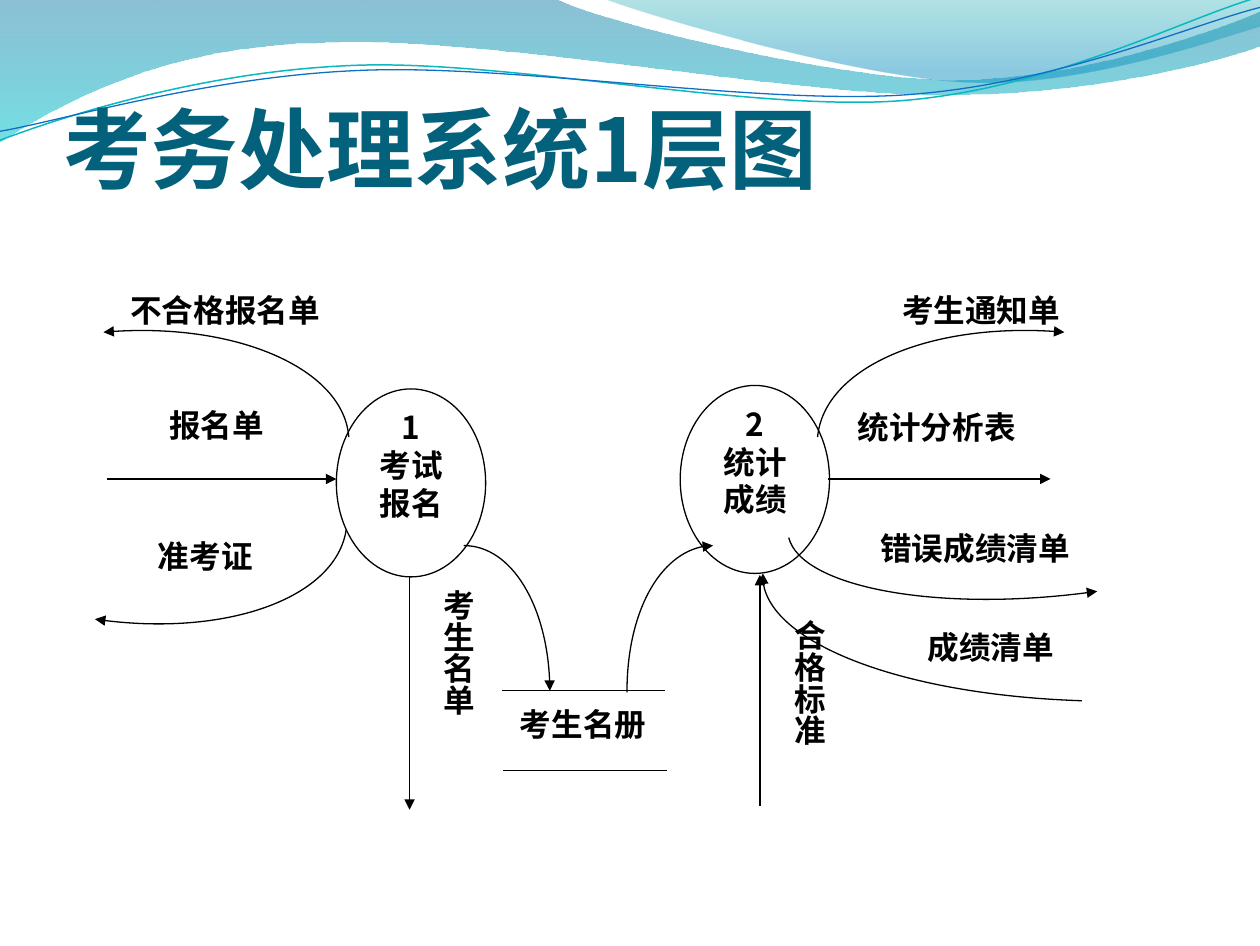
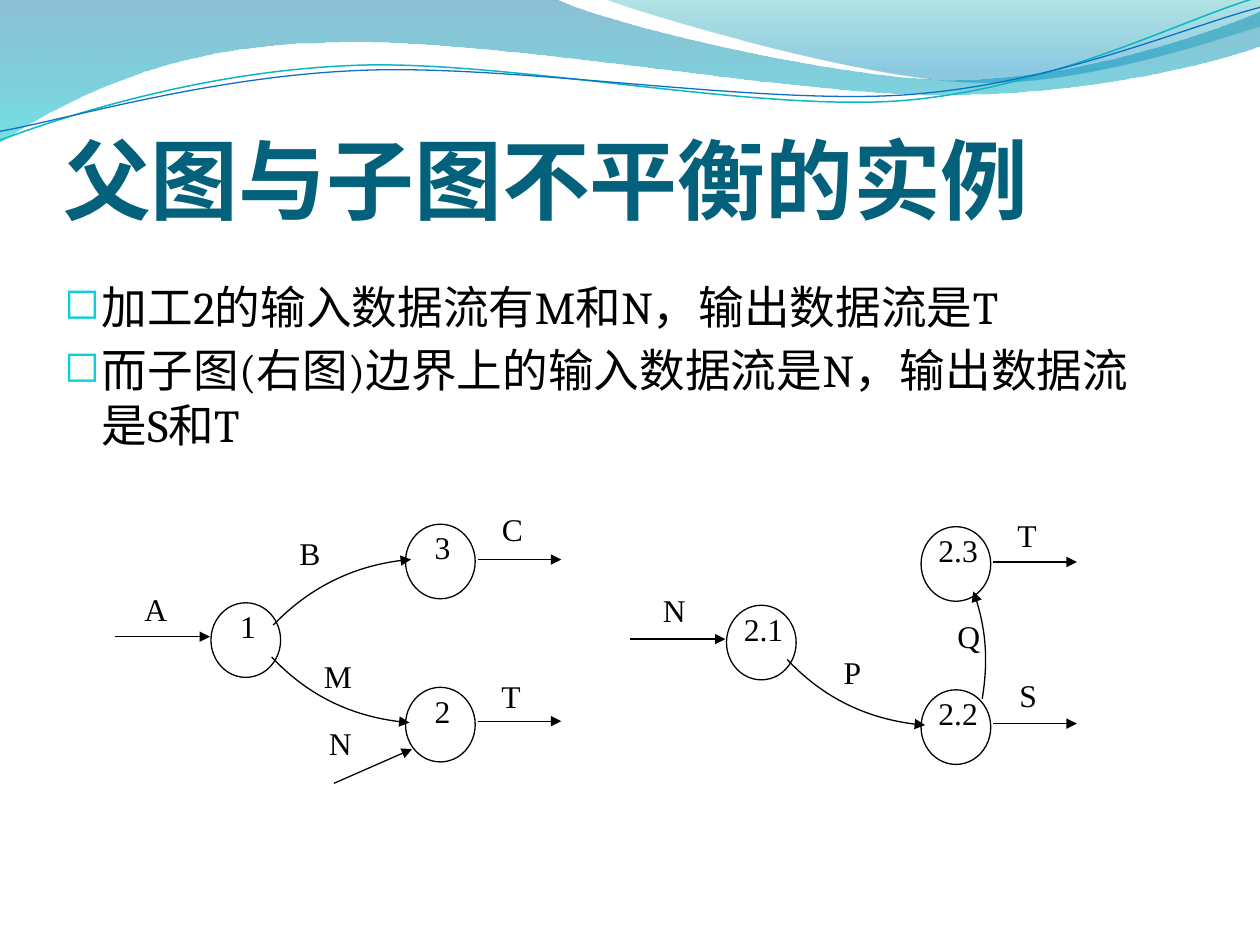
from collections import namedtuple

from pptx import Presentation
from pptx.dml.color import RGBColor
from pptx.enum.shapes import MSO_CONNECTOR, MSO_SHAPE
from pptx.enum.text import MSO_ANCHOR, PP_ALIGN
from pptx.oxml.xmlchemy import OxmlElement
from pptx.util import Cm, Pt

TextStyle = namedtuple("TextStyle", "size latin east color bold spacing align")

SANS = "Noto Sans CJK SC"
BLACK = "000000"
TITLE_STYLE = TextStyle(50, SANS, SANS, "04617B", True, 60, PP_ALIGN.LEFT)
BODY_STYLE = TextStyle(26, "Cambria", SANS, BLACK, False, 31, PP_ALIGN.LEFT)
FLOW_STYLE = TextStyle(18, SANS, SANS, BLACK, True, 21.6, PP_ALIGN.CENTER)
COLUMN_STYLE = FLOW_STYLE._replace(align=PP_ALIGN.LEFT)
LETTER_STYLE = TextStyle(18, "Times New Roman", SANS, BLACK, False, None, PP_ALIGN.CENTER)

BANDS = [
    ((0, 0), [
        [(11.15, -0.03)],
        [(12.04, 0.43), (16.81, 1.6), (19.2, 1.6)],
        [(21.62, 1.6), (24.28, 0.66), (25.32, 0.23)],
        [(25.35, 0.91)],
        [(24.92, 1.12), (22.02, 1.93), (18.9, 1.91)],
        [(15.75, 1.91), (9.68, 0.71), (6.53, 0.86)],
        [(3.28, 0.89), (1.17, 2.11), (-0.03, 2.87)],
    ], [(0, "0074A1", 45), (1, "00C6CF", 55)]),
    ((12.14, -0.03), [
        [(12.9, 0.28), (17.27, 1.57), (19.48, 1.65)],
        [(21.67, 1.75), (24.36, 0.81), (25.32, 0.53)],
        [(25.32, 0)],
    ], [(0, "00A1A9", 30), (0.8, "008BBF", 45)]),
]
WAVES = [
    ((0, 2.82), [
        [(1.22, 2.36), (3.99, 1.45), (7.01, 1.32)],
        [(10.01, 1.17), (15.01, 2.24), (18.06, 2.03)],
        [(21.11, 1.8), (23.77, 0.38), (25.27, -0.05)],
    ], "0AB8BF", 0.85),
    ((0, 2.64), [
        [(1.19, 2.44), (4.14, 1.55), (7.16, 1.42)],
        [(10.19, 1.27), (15.14, 2.11), (18.16, 1.91)],
        [(21.23, 1.7), (23.83, 0.53), (25.32, 0.15)],
    ], "0F6FC6", 0.75),
]

EXAM_TITLE = "考务处理系统1层图"
EXAM_PROCESSES = [
    (["1", "考试", "报名"], 6.76, 7.82),
    (["2", "统计", "成绩"], 13.67, 7.75),
]
EXAM_FLOWS = [
    ((2.16, 9.63), (6.76, 9.63)),
    ((8.23, 11.61), (8.23, 16.28)),
    ((16.64, 9.63), (21.11, 9.63)),
    ((15.27, 16.21), (15.27, 11.56)),
]
STORE_EDGES = [((10.08, 13.89), (13.36, 13.89)), ((10.11, 15.49), (13.41, 15.49))]
EXAM_CURVES = [
    [(9.32, 10.97), (10.29, 10.97), (11.05, 12.29), (11.05, 13.89)],
    [(12.6, 13.92), (12.6, 12.29), (13.36, 10.97), (14.33, 10.97)],
    [(7.01, 8.79), (6.91, 7.42), (4.67, 6.45), (2.08, 6.68)],
    [(6.96, 10.64), (6.76, 12.01), (4.5, 12.83), (1.91, 12.45)],
    [(16.43, 8.79), (16.56, 7.39), (18.77, 6.45), (21.39, 6.68)],
    [(15.85, 10.81), (16.1, 11.79), (18.87, 12.34), (22.05, 11.89)],
    [(21.74, 14.09), (18.11, 13.97), (15.24, 12.83), (15.33, 11.53)],
]
EXAM_LABELS = [
    ("考生名册", 10.03, 14.05, 3.38),
    ("报名单", 2.69, 8.03, 3.33),
    ("不合格报名单", 1.68, 5.72, 5.69),
    ("准考证", 2.46, 10.67, 3.33),
    ("统计分析表", 16.69, 8.08, 4.27),
    ("考生通知单", 17.58, 5.72, 4.27),
    ("错误成绩清单", 17.04, 10.52, 5.11),
    ("成绩清单", 17.93, 12.51, 3.96),
]
EXAM_COLUMNS = [("考生名单", 7.59, 11.61), ("合格标准", 14.63, 12.22)]

BALANCE_TITLE = "父图与子图不平衡的实例"
BALANCE_POINTS = [
    "加工2的输入数据流有M和N，输出数据流是T",
    "而子图(右图)边界上的输入数据流是N，输出数据流是S和T",
]
NODE_PLACES = [(4.24, 12.12), (8.15, 13.82), (8.15, 10.54)]
SHARED_FLOWS = [
    ((2.31, 12.8), (4.22, 12.8)),
    ((9.6, 14.5), (11.28, 14.5)),
    ((9.6, 11.25), (11.28, 11.25)),
]
SHARED_CURVE = [(5.46, 13.21), (6.2, 14), (7.19, 14.45), (8.23, 14.53)]
PARENT_FLOW = ((6.71, 15.75), (8.28, 15.06))
PARENT_CURVE = [(5.49, 12.57), (6.22, 11.81), (7.21, 11.33), (8.26, 11.25)]
CHILD_CURVE = [(19.74, 14.05), (19.86, 13.31), (19.81, 12.57), (19.56, 11.89)]
GRAPHS = [(["1", "2", "3"], 0, 0), (["2.1", "2.2", "2.3"], 10.36, 0.05)]
LETTERS = [
    ("A", 2.51, 11.73), ("B", 5.61, 10.62), ("C", 9.68, 10.13),
    ("M", 6.17, 13.08), ("N", 6.22, 14.43), ("T", 9.65, 13.49),
    ("N", 12.93, 11.76), ("P", 16.51, 13), ("S", 20.04, 13.46),
    ("T", 20.02, 10.24), ("Q", 18.85, 12.27),
]


def rgb(color):
    return RGBColor.from_string(color)


def add_child(parent, tag, **attributes):
    child = OxmlElement(tag)
    for name, value in attributes.items():
        child.set(name, str(value))
    parent.append(child)
    return child


def set_line(shape, color=BLACK, width=0.75, arrow=False):
    shape.line.color.rgb = rgb(color)
    shape.line.width = Pt(width)
    if arrow:
        add_child(shape.element.xpath(".//a:ln")[0], "a:tailEnd", type="triangle")


def add_line(slide, start, end, arrow=True):
    ends = [Cm(value) for value in (*start, *end)]
    connector = slide.shapes.add_connector(MSO_CONNECTOR.STRAIGHT, *ends)
    set_line(connector, arrow=arrow)
    add_child(connector.element.spPr, "a:effectLst")


def add_outline(slide, start, segments, close=False):
    builder = slide.shapes.build_freeform(Cm(start[0]), Cm(start[1]))
    points = [(Cm(x), Cm(y)) for segment in segments for x, y in segment]
    builder.add_line_segments(points, close=close)
    shape = builder.convert_to_shape()
    shape.shadow.inherit = False
    shape.fill.background()
    lines = iter(shape.element.xpath(".//a:lnTo"))
    for segment in segments:
        steps = [next(lines) for _ in segment]
        if len(steps) == 3:
            curve = OxmlElement("a:cubicBezTo")
            steps[0].addprevious(curve)
            for step in steps:
                curve.append(step[0])
                step.getparent().remove(step)
    return shape


def add_curve(slide, points):
    set_line(add_outline(slide, points[0], [points[1:]]), arrow=True)


def add_band(slide, start, segments, stops):
    band = add_outline(slide, start, segments, close=True)
    band.line.fill.background()
    band.fill.gradient()
    band.fill.gradient_angle = 270
    for stop, (position, color, _) in zip(band.fill.gradient_stops, stops):
        stop.position = position
        stop.color.rgb = rgb(color)
    for node, (_, _, opacity) in zip(band.element.xpath(".//a:gs/a:srgbClr"), stops):
        add_child(node, "a:alpha", val=opacity * 1000)
    return band


def add_wave(slide, start, segments, color, width):
    wave = add_outline(slide, start, segments)
    set_line(wave, color, width)
    return wave


def add_ellipse(slide, x, y, width, height):
    ellipse = slide.shapes.add_shape(MSO_SHAPE.OVAL, Cm(x), Cm(y), Cm(width), Cm(height))
    ellipse.shadow.inherit = False
    ellipse.fill.background()
    set_line(ellipse)


def add_bullet(paragraph):
    properties = paragraph._p.get_or_add_pPr()
    properties.set("marL", str(Cm(0.76)))
    properties.set("indent", str(-Cm(0.76)))
    add_child(add_child(properties, "a:buClr"), "a:srgbClr", val="0BD0D9")
    add_child(properties, "a:buSzPct", val=95000)
    add_child(properties, "a:buChar", char="◻")


def add_text(slide, lines, x, y, width, height, style, bullets=False):
    box = slide.shapes.add_textbox(Cm(x), Cm(y), Cm(width), Cm(height))
    frame = box.text_frame
    frame.word_wrap = True
    frame.text = "\n".join(lines)
    for index, paragraph in enumerate(frame.paragraphs):
        if bullets:
            add_bullet(paragraph)
            paragraph.space_before = Pt(5 if index else 0)
        paragraph.alignment = style.align
        if style.spacing:
            paragraph.line_spacing = Pt(style.spacing)
        for run in paragraph.runs:
            run.font.size = Pt(style.size)
            run.font.bold = style.bold
            run.font.name = style.latin
            run.font.color.rgb = rgb(style.color)
    for properties in box.element.xpath(".//a:rPr"):
        add_child(properties, "a:ea", typeface=style.east)
    return box


def add_title(slide, text, y):
    frame = add_text(slide, [text], 1.27, y, 22.81, 3.18, TITLE_STYLE).text_frame
    frame.vertical_anchor = MSO_ANCHOR.BOTTOM
    frame.margin_left = frame.margin_right = frame.margin_bottom = 0


def decorate_layout(layout, slide):
    for placeholder in list(layout.placeholders):
        layout.shapes.element.remove(placeholder.element)
    decoration = [add_band(slide, *band) for band in BANDS]
    decoration += [add_wave(slide, *wave) for wave in WAVES]
    for shape in decoration:
        layout.shapes.element.append(shape.element)


def build_exam_slide(slide):
    add_title(slide, EXAM_TITLE, 0.84)
    for start, end in STORE_EDGES:
        add_line(slide, start, end, arrow=False)
    for lines, x, y in EXAM_PROCESSES:
        add_ellipse(slide, x, y, 3, 3.78)
        add_text(slide, lines, x - 0.21, y + 0.26, 3.43, 3.45, FLOW_STYLE)
    for start, end in EXAM_FLOWS:
        add_line(slide, start, end)
    for points in EXAM_CURVES:
        add_curve(slide, points)
    for text, x, y, width in EXAM_LABELS:
        add_text(slide, [text], x, y, width, 2.06, FLOW_STYLE)
    for text, x, y in EXAM_COLUMNS:
        column = add_text(slide, [text], x, y, 2.13, 4.47, COLUMN_STYLE)
        column.element.xpath(".//a:bodyPr")[0].set("vert", "eaVert")


def build_balance_slide(slide):
    add_title(slide, BALANCE_TITLE, 1.47)
    add_text(slide, BALANCE_POINTS, 1.04, 5.49, 21.95, 6.32, BODY_STYLE, bullets=True)
    for names, dx, dy in GRAPHS:
        for name, (x, y) in zip(names, NODE_PLACES):
            add_text(slide, [name], x + dx + 0.02, y + dy - 0.04, 1.45, 1.32, LETTER_STYLE)
            add_ellipse(slide, x + dx, y + dy, 1.4, 1.5)
        for flow in SHARED_FLOWS:
            add_line(slide, *[(x + dx, y + dy) for x, y in flow])
        add_curve(slide, [(x + dx, y + dy) for x, y in SHARED_CURVE])
    add_line(slide, *PARENT_FLOW)
    add_curve(slide, PARENT_CURVE)
    add_curve(slide, CHILD_CURVE)
    for letter, x, y in LETTERS:
        add_text(slide, [letter], x, y, 1.24, 1.24, LETTER_STYLE)


def main():
    presentation = Presentation()
    presentation.slide_width = Cm(25.32)
    presentation.slide_height = Cm(19.02)
    layout = presentation.slide_layouts[6]
    exam_slide = presentation.slides.add_slide(layout)
    decorate_layout(layout, exam_slide)
    build_exam_slide(exam_slide)
    build_balance_slide(presentation.slides.add_slide(layout))
    presentation.save("out.pptx")


if __name__ == "__main__":
    main()
